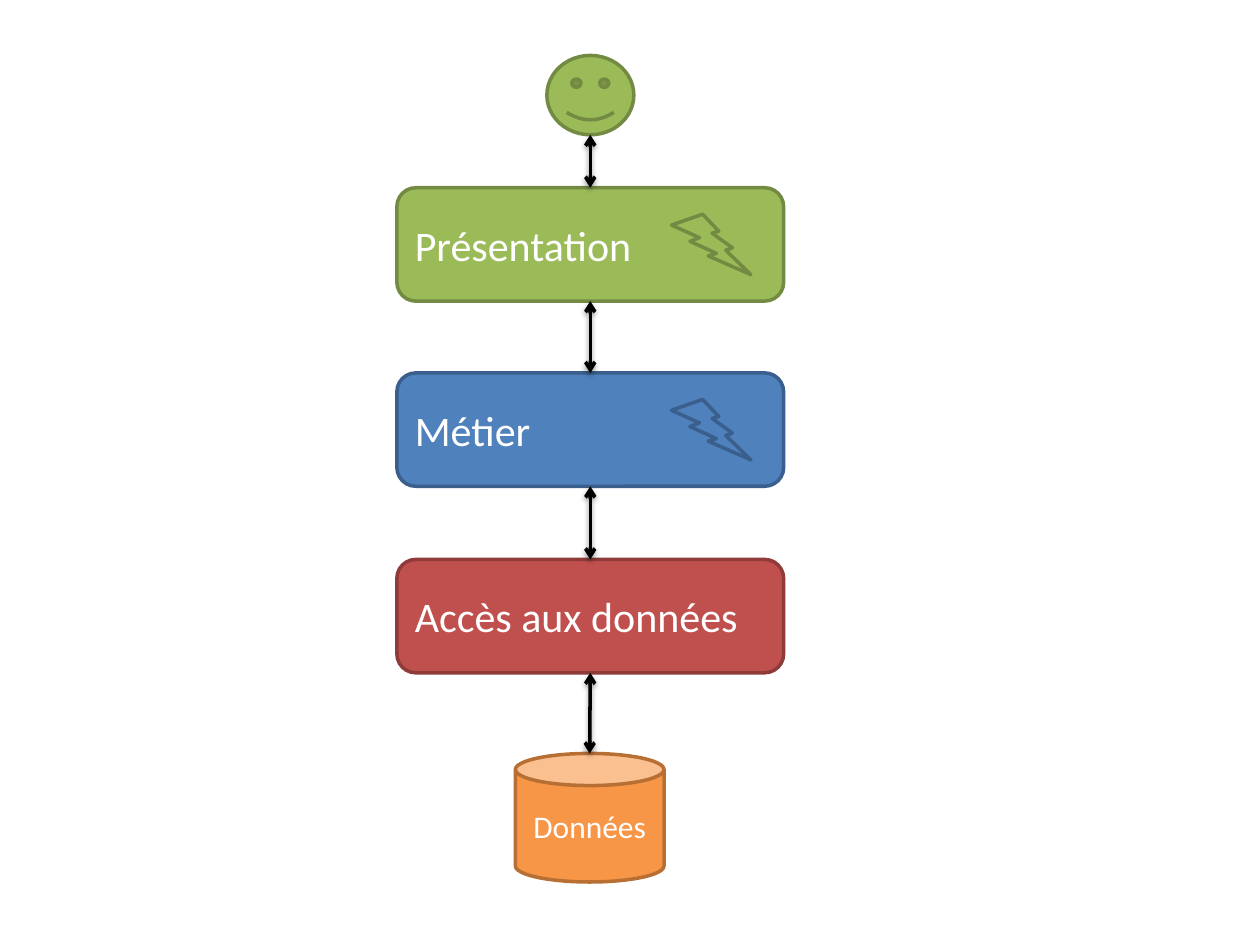
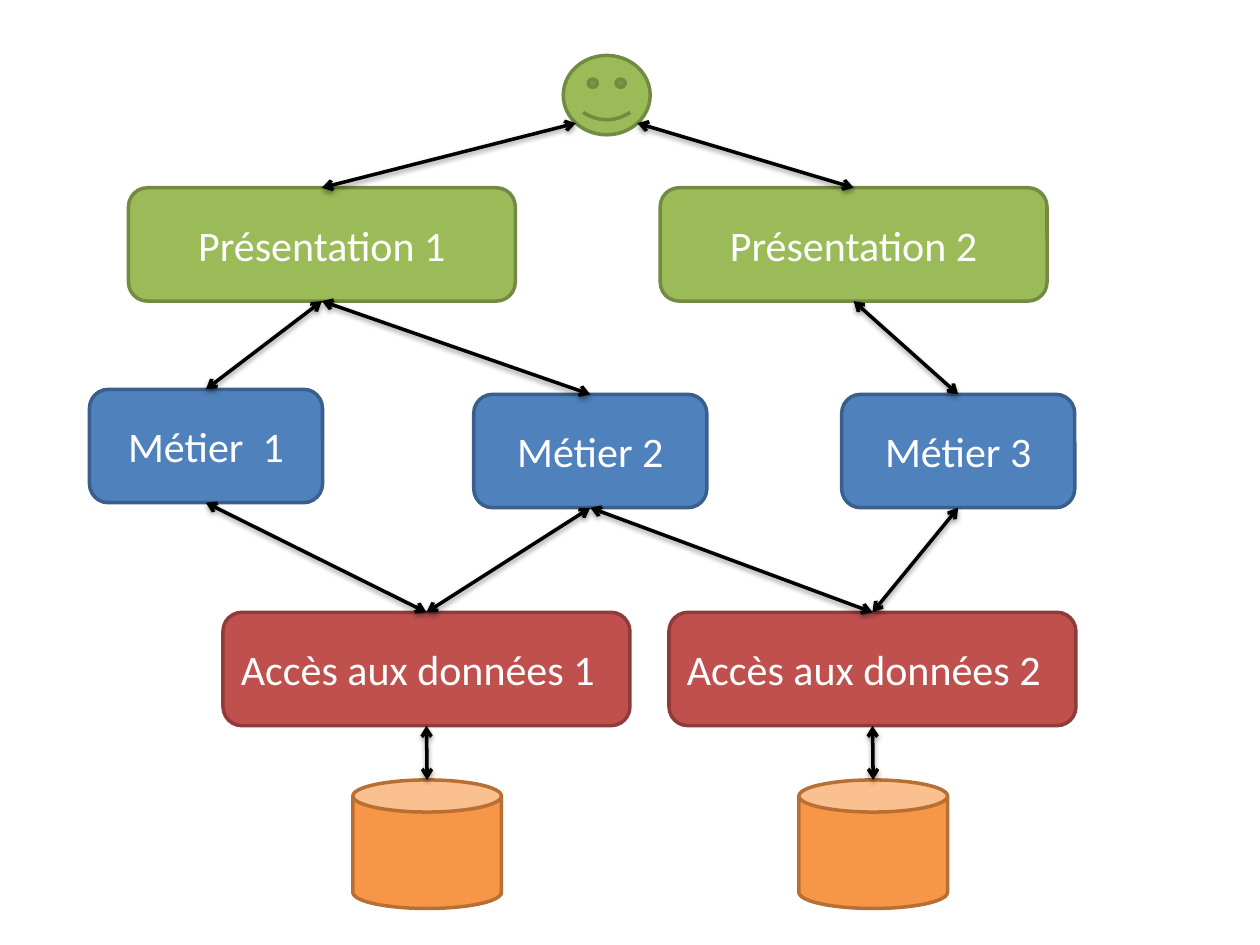
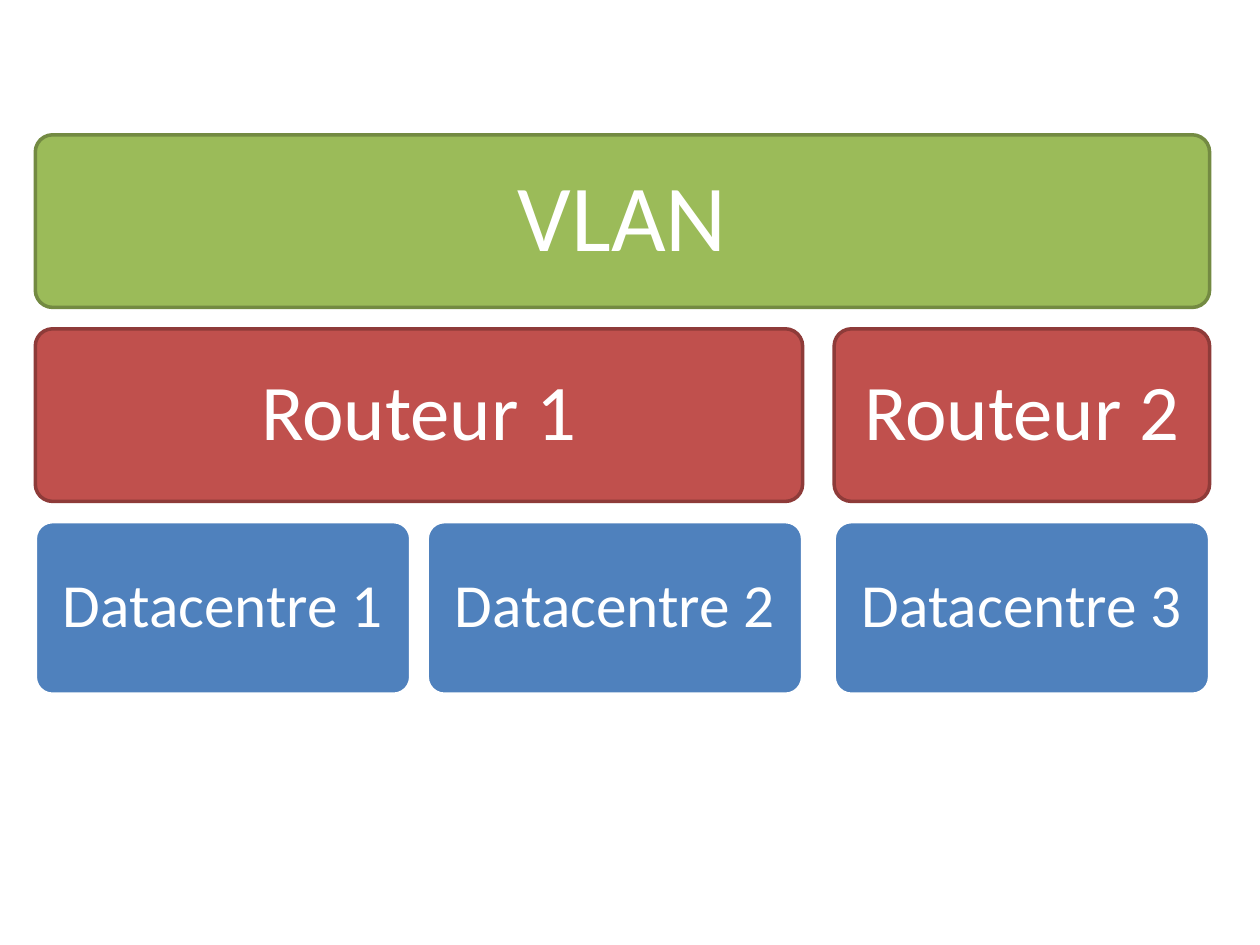
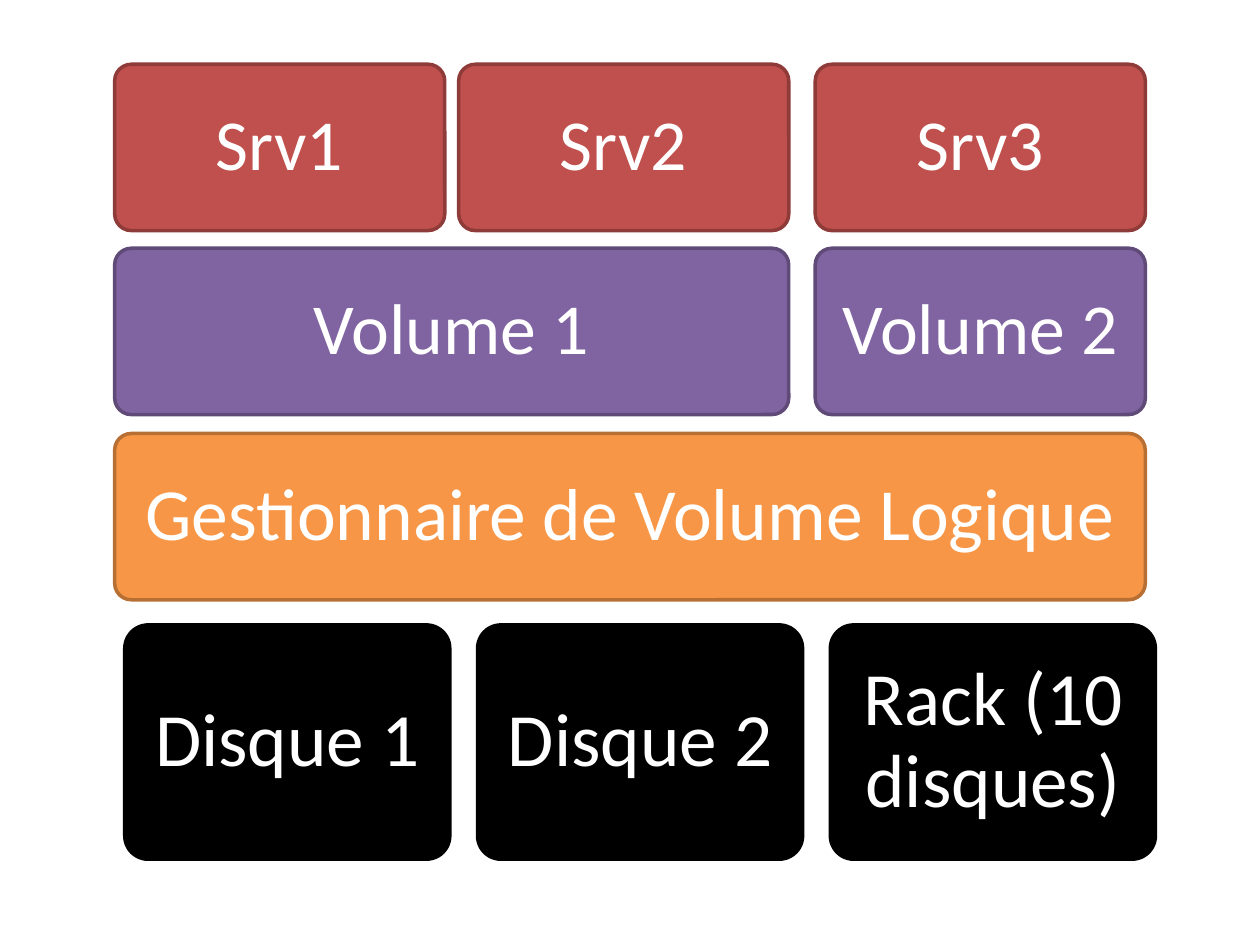
from dataclasses import dataclass
from typing import NamedTuple

from lxml import etree
from pptx import Presentation
from pptx.dml.color import RGBColor
from pptx.enum import shapes, text
from pptx.oxml import ns
from pptx.util import Inches, Pt

FONT = "Calibri"
WHITE = RGBColor(0xFF, 0xFF, 0xFF)
BLACK = RGBColor(0x00, 0x00, 0x00)
LINE_WIDTH = Pt(2)
LEFT, CENTER = text.PP_ALIGN.LEFT, text.PP_ALIGN.CENTER
KIND = shapes.MSO_SHAPE
TOP_SITE, BOTTOM_SITE = 0, 2


class Paint(NamedTuple):
    fill: RGBColor
    line: RGBColor


GREEN = Paint(RGBColor(0x9B, 0xBB, 0x59), RGBColor(0x73, 0x8A, 0x42))
BLUE = Paint(RGBColor(0x4F, 0x81, 0xBD), RGBColor(0x3A, 0x5F, 0x8C))
BLUE_WHITE = Paint(BLUE.fill, WHITE)
RED = Paint(RGBColor(0xC0, 0x50, 0x4D), RGBColor(0x8E, 0x3B, 0x39))
ORANGE = Paint(RGBColor(0xF7, 0x96, 0x46), RGBColor(0xB7, 0x6F, 0x34))
PURPLE = Paint(RGBColor(0x80, 0x64, 0xA2), RGBColor(0x5F, 0x4A, 0x78))
DARK = Paint(BLACK, BLACK)


@dataclass
class Node:
    x: float
    y: float
    w: float
    h: float
    paint: Paint
    label: str = ""
    kind: KIND = KIND.ROUNDED_RECTANGLE
    size: int = 24
    align: text.PP_ALIGN = CENTER


class Cell(NamedTuple):
    label: str
    first: int
    last: int


class Row(NamedTuple):
    y: float
    paint: Paint
    size: int
    margin: float
    cells: list[Cell]


@dataclass
class Grid:
    columns: list[float]
    width: float
    height: float
    rows: list[Row]


def add_node(slide, node: Node):
    sp = slide.shapes.add_shape(node.kind, *map(Inches, (node.x, node.y, node.w, node.h)))
    sp.shadow.inherit = False
    sp.fill.solid()
    sp.fill.fore_color.rgb = node.paint.fill
    sp.line.color.rgb = node.paint.line
    sp.line.width = LINE_WIDTH
    if node.label:
        tf = sp.text_frame
        tf.word_wrap = True
        tf.vertical_anchor = text.MSO_ANCHOR.MIDDLE
        p = tf.paragraphs[0]
        p.alignment = node.align
        r = p.add_run()
        r.text = node.label
        for name, value in {"name": FONT, "size": Pt(node.size)}.items():
            setattr(r.font, name, value)
        r.font.color.rgb = WHITE
    return sp


def top(sp) -> tuple[int, int]:
    return sp.left + sp.width // 2, sp.top


def bottom(sp) -> tuple[int, int]:
    return sp.left + sp.width // 2, sp.top + sp.height


def lower_corner(face, side: int) -> tuple[int, int]:
    """Point at 45 degrees on the face's outline: side -1 left, 1 right."""
    reach = 0.5 ** 0.5
    return (int(face.left + face.width * (1 + side * reach) / 2),
            int(face.top + face.height * (1 + reach) / 2))


def is_box(sp) -> bool:
    return sp.auto_shape_type == KIND.ROUNDED_RECTANGLE


def add_arrow(slide, upper, lower, start: tuple[int, int] | None = None) -> None:
    """Two-headed arrow from the bottom of upper, or from start, to the top of lower."""
    cxn = slide.shapes.add_connector(
        shapes.MSO_CONNECTOR.STRAIGHT, *(start or bottom(upper)), *top(lower))
    if is_box(upper):
        cxn.begin_connect(upper, BOTTOM_SITE)
    if is_box(lower):
        cxn.end_connect(lower, TOP_SITE)
    cxn.line.color.rgb = BLACK
    cxn.line.width = LINE_WIDTH
    ln = cxn.line._get_or_add_ln()
    for end in ("a:headEnd", "a:tailEnd"):
        etree.SubElement(ln, ns.qn(end), type="arrow")
    effects = etree.SubElement(cxn._element.spPr, ns.qn("a:effectLst"))
    shadow = etree.SubElement(
        effects, ns.qn("a:outerShdw"), blurRad=str(Pt(3.1)), dist=str(Pt(1.6)),
        dir="5400000", rotWithShape="0")
    color = etree.SubElement(shadow, ns.qn("a:srgbClr"), val=str(BLACK))
    etree.SubElement(color, ns.qn("a:alpha"), val="38000")


def layer(x: float, y: float, w: float, paint: Paint, label: str, align=CENTER) -> Node:
    return Node(x, y, w, 0.9, paint, label, align=align)


def user(x: float) -> Node:
    return Node(x, 0.44, 0.69, 0.63, GREEN, kind=KIND.SMILEY_FACE)


def database(x: float, y: float, label: str = "") -> Node:
    return Node(x, y, 1.18, 1.02, ORANGE, label, KIND.CAN, size=18)


def add_grid(slide, grid: Grid) -> None:
    for row in grid.rows:
        for label, first, last in row.cells:
            x = grid.columns[first]
            w = grid.columns[last] + grid.width - x
            sp = add_node(slide, Node(x, row.y, w, grid.height, row.paint, label, size=row.size))
            sp.adjustments[0] = 0.1
            tf = sp.text_frame
            tf.paragraphs[0].line_spacing = 0.9
            for side in ("left", "top", "right", "bottom"):
                setattr(tf, f"margin_{side}", Inches(row.margin))


def build_layers(slide) -> None:
    nodes = [
        user(4.34),
        layer(3.15, 1.49, 3.07, GREEN, "Présentation", LEFT),
        layer(3.15, 2.96, 3.07, BLUE, "Métier", LEFT),
        layer(3.15, 4.44, 3.07, RED, "Accès aux données", LEFT),
        database(4.09, 5.98, "Données"),
    ]
    stack = [add_node(slide, node) for node in nodes]
    for node in nodes[1:3]:
        add_node(slide, Node(5.33, node.y + 0.21, 0.63, 0.48, node.paint,
                             kind=KIND.LIGHTNING_BOLT))
    for upper, lower in zip(stack, stack[1:]):
        add_arrow(slide, upper, lower)


def build_services(slide) -> None:
    face = add_node(slide, user(4.47))
    screens = [add_node(slide, layer(x, 1.49, 3.07, GREEN, f"Présentation {i}"))
               for i, x in enumerate((1.02, 5.24), 1)]
    services = [add_node(slide, layer(x, y, 1.85, BLUE, label)) for x, y, label in (
        (0.71, 3.09, "Métier  1"), (3.76, 3.13, "Métier 2"), (6.68, 3.13, "Métier 3"))]
    accesses = [add_node(slide, layer(x, 4.86, 3.23, RED, f"Accès aux données {i}", LEFT))
                for i, x in enumerate((1.77, 5.31), 1)]
    stores = [add_node(slide, database(x, 6.19)) for x in (2.8, 6.34)]

    for side, screen in zip((-1, 1), screens):
        add_arrow(slide, face, screen, lower_corner(face, side))
    for screen, service in ((0, 0), (0, 1), (1, 2)):
        add_arrow(slide, screens[screen], services[service])
    for service, access in ((0, 0), (1, 0), (1, 1), (2, 1)):
        add_arrow(slide, services[service], accesses[access])
    for access, store in zip(accesses, stores):
        add_arrow(slide, access, store)


def numbered(word: str, count: int) -> list[Cell]:
    """One cell per column, labelled word1, word2 and so on."""
    return [Cell(f"{word}{i + 1}", i, i) for i in range(count)]


NETWORK = Grid([0.28, 3.39, 6.62], 2.98, 1.37, [
    Row(1.07, GREEN, 54, 0.23, [Cell("VLAN", 0, 2)]),
    Row(2.61, RED, 45, 0.19, [Cell("Routeur 1", 0, 1), Cell("Routeur 2", 2, 2)]),
    Row(4.14, BLUE_WHITE, 35, 0.15, numbered("Datacentre ", 3)),
])
DISKS = Grid([0.99, 3.79, 6.59], 2.58, 1.86, [
    Row(4.96, DARK, 43, 0.18, numbered("Disque ", 2) + [Cell("Rack (10 disques)", 2, 2)]),
])
VOLUMES = Grid([0.91, 3.64, 6.47], 2.62, 1.32, [
    Row(3.44, ORANGE, 42, 0.17, [Cell("Gestionnaire de Volume Logique", 0, 2)]),
    Row(1.97, PURPLE, 41, 0.17, [Cell("Volume 1", 0, 1), Cell("Volume 2", 2, 2)]),
    Row(0.51, RED, 41, 0.17, numbered("Srv", 3)),
])


def main() -> None:
    prs = Presentation()
    prs.slide_width, prs.slide_height = Inches(10), Inches(7.5)
    blank = prs.slide_layouts[6]
    build_layers(prs.slides.add_slide(blank))
    build_services(prs.slides.add_slide(blank))
    add_grid(prs.slides.add_slide(blank), NETWORK)
    storage = prs.slides.add_slide(blank)
    for grid in (DISKS, VOLUMES):
        add_grid(storage, grid)
    prs.save("out.pptx")


if __name__ == "__main__":
    main()
